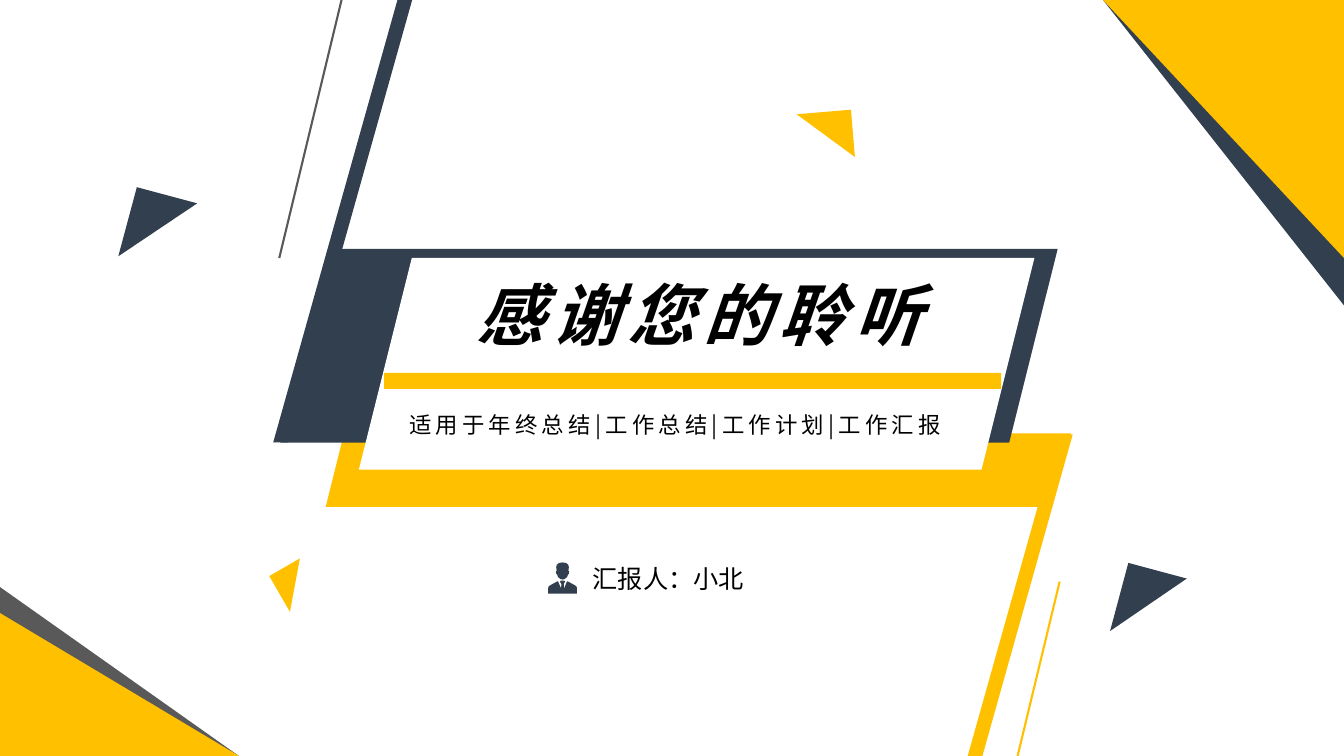
from pptx import Presentation, util as u
from pptx.dml.color import RGBColor
from pptx.enum import shapes, text
from pptx.oxml.ns import qn
from lxml import etree

NAVY, GOLD, GREY, WHITE, BLACK = "323F4F", "FFC000", "595959", "FFFFFF", "000000"
FONT = "Noto Sans CJK SC"
TRIANGLE = shapes.MSO_SHAPE.RIGHT_TRIANGLE
TRIANGLE = shapes.MSO_SHAPE.ISOSCELES_TRIANGLE
SLANTED = shapes.MSO_SHAPE.PARALLELOGRAM
BAR = shapes.MSO_SHAPE.RECTANGLE

TRIANGLES = [
    ((1.21, 1.97, 0.71, 0.62), 105, NAVY),
    ((2.72, 5.63, 0.41, 0.35), 60, GOLD),
    ((7.92, 1.11, 0.54, 0.47), 175.2, GOLD),
    ((11.04, 5.7, 0.7, 0.6), 105, NAVY),
    ((-0.02, 5.81, 2.39, 1.69), 0, GREY),
    ((-0.02, 6.07, 2.39, 1.43), 0, GOLD),
    ((10.94, 0, 2.39, 3.03), 180, NAVY),
    ((10.94, 0, 2.39, 2.56), 180, GOLD),
]
PANELS = [
    ((3.23, 4.3, 7.39, 0.73), 0.25, GOLD),
    ((2.78, 2.47, 7.71, 1.92), 0.25, NAVY),
    ((3.56, 2.56, 6.7, 2.1), 0.25, WHITE),
    ((9.18, 4.31, 1.46, 4.68), 0.9, GOLD),
    ((2.71, -0.29, 1.46, 4.68), 0.9, NAVY),
]
THIN_LINES = [
    ((10.51, 5.77, 9.83, 8.59), GOLD),
    ((3.45, -0.26, 2.77, 2.56), GREY),
]
DIVIDER = (3.81, 3.7, 6.12, 0.16)
CENTER, LEFT = text.PP_ALIGN.CENTER, text.PP_ALIGN.LEFT
TEXTS = [
    ((4.56, 2.66, 4.75, 0.91), "感谢您的聆听", 48, True, 6, CENTER, False),
    ((5.78, 5.54, 1.72, 0.4), "汇报人：小北", 18, False, 0, LEFT, False),
    ((3.91, 4.03, 5.57, 0.37), "适用于年终总结|工作总结|工作计划|工作汇报", 16, False, 3, CENTER, True),
]
ICON_ORIGIN = (5.58, 5.58)
ICON_HALVES = [
    [(0, 180), (18, 180), (25, 190), (12, 215), (14, 258), (25, 235), (43, 190),
     (50, 187), (120, 225), (138, 238), (143, 255), (143, 310), (0, 310)],
    [(0, 0), (35, 5), (58, 25), (63, 50), (58, 80), (66, 92), (62, 112),
     (54, 120), (45, 145), (20, 165), (0, 170)],
]


def color(value):
    return RGBColor.from_string(value)


def inches(values):
    return [u.Inches(value) for value in values]


def paint(shape, fill):
    shape.shadow.inherit = False
    shape.fill.solid()
    shape.fill.fore_color.rgb = color(fill)
    shape.line.fill.background()


def add_preset(slide, kind, box, fill, adjustment=None, rotation=0):
    shape = slide.shapes.add_shape(kind, *inches(box))
    if adjustment is not None:
        shape.adjustments[0] = adjustment
    shape.rotation = rotation
    paint(shape, fill)


def add_thin_line(slide, ends, stroke):
    line = slide.shapes.add_connector(shapes.MSO_CONNECTOR.STRAIGHT, *inches(ends))
    line.line.color.rgb = color(stroke)
    line.line.width = u.Pt(1.5)
    etree.SubElement(line._element.spPr, qn("a:effectLst"))


def add_label(slide, box, words, size, strong, spacing, alignment, wrap):
    label = slide.shapes.add_textbox(*inches(box))
    frame = label.text_frame
    frame.word_wrap = wrap
    frame.auto_size = text.MSO_AUTO_SIZE.SHAPE_TO_FIT_TEXT
    paragraph = frame.paragraphs[0]
    paragraph.alignment = alignment
    run = paragraph.add_run()
    run.text = words
    font = run.font
    font.name, font.size = FONT, u.Pt(size)
    font.bold = font.italic = strong
    font.color.rgb = color(BLACK)
    properties = run._r.get_or_add_rPr()
    properties.set("spc", str(spacing * 100))
    etree.SubElement(properties, qn("a:ea")).set("typeface", FONT)


def add_person_icon(slide):
    outlines = [half + [(-x, y) for x, y in reversed(half)] for half in ICON_HALVES]
    builder = None
    for start, *rest in outlines:
        if builder is None:
            builder = slide.shapes.build_freeform(*start, scale=u.Inches(1) / 1000)
        else:
            builder.move_to(*start)
        builder.add_line_segments(rest, close=True)
    paint(builder.convert_to_shape(*inches(ICON_ORIGIN)), NAVY)


def main():
    presentation = Presentation()
    presentation.slide_width, presentation.slide_height = inches((13.33, 7.5))
    slide = presentation.slides.add_slide(presentation.slide_layouts[6])
    for box, rotation, fill in TRIANGLES:
        add_preset(slide, TRIANGLE, box, fill, 0, rotation)
    for box, slant, fill in PANELS:
        add_preset(slide, SLANTED, box, fill, slant)
    for ends, stroke in THIN_LINES:
        add_thin_line(slide, ends, stroke)
    add_preset(slide, BAR, DIVIDER, GOLD)
    for label in TEXTS:
        add_label(slide, *label)
    add_person_icon(slide)
    presentation.save("out.pptx")


if __name__ == "__main__":
    main()
